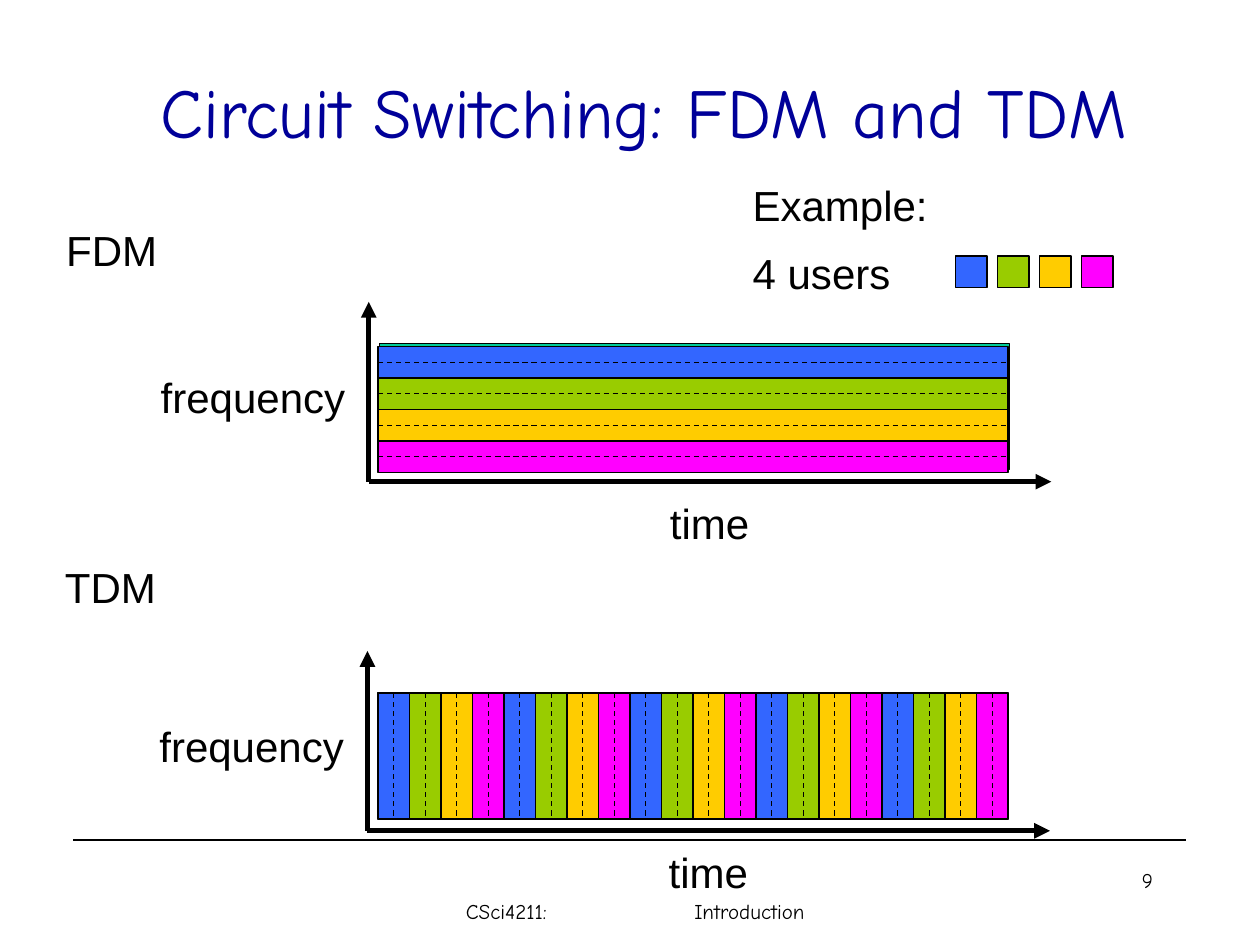
import pptx
import pptx.util
import pptx.dml.color
import pptx.enum.dml
import pptx.enum.shapes
import pptx.enum.text
import pptx.oxml
import pptx.oxml.ns

# Content: boxes are (left, top, width, height) in px, 96 px to the inch
TITLE = ("Circuit Switching: FDM and TDM", (46, 24, 889, 120))
LABELS = [
    ("Example:", (564, 132, 153, 48)),
    ("4 users", (564, 184, 125, 48)),
    ("FDM", (41, 166, 90, 48)),
    ("TDM", (40, 423, 90, 48)),
]
CHARTS = [
    {"origin": (281, 367), "grid": (288, 264), "backing": (289, 262),
     "slots": 4, "across": False},
    {"origin": (280, 633), "grid": (288, 528), "backing": (288, 528),
     "slots": 20, "across": True},
]
AXIS_LABELS = [("frequency", (-168, -89, 160, 48)), ("time", (220, 7, 80, 48))]
AXIS_ENDS = [(0, -137), (520, 0)]
GRID_SIZE = (480, 96)
SLOT = 24
LEGEND = {"left": 728, "top": 195, "step": 32}
RULE = (56, 640, 904, 640)
FOOTER = ("CSci4211:\tIntroduction", (328, 680, 312, 48))
FOOTER_INDENT, FOOTER_TAB = 27, 174
PAGE_NUMBER = ("9", (688, 656, 200, 48))

THEME = {
    "users": ["3366FF", "99CC00", "FFCC00", "FF00FF"],
    "backing": "00CC99",
    "ink": "000000",
    "title": {"name": "Comic Neue", "size": 40, "color": "000099"},
    "label": {"name": "Arial", "size": 24, "color": "000000"},
    "small": {"name": "Comic Neue", "size": 12, "color": "000000"},
    "thin": 0.75,
    "thick": 3,
}
ALIGN = pptx.enum.text.PP_ALIGN
RECTANGLE = pptx.enum.shapes.MSO_SHAPE.RECTANGLE
STRAIGHT = pptx.enum.shapes.MSO_CONNECTOR.STRAIGHT
XML_NAMES = pptx.oxml.ns.nsdecls("a")


def px(length):
    return pptx.util.Emu(length * 9525)


def rgb(value):
    return pptx.dml.color.RGBColor.from_string(value)


def set_all(target, values):
    for name, value in values.items():
        setattr(target, name, value)


def write(frame, text, style, align=ALIGN.LEFT):
    para = frame.paragraphs[0]
    para.alignment = align
    span = para.add_run()
    span.text = text
    set_all(span.font, {"name": style["name"], "bold": False,
                        "size": pptx.util.Pt(style["size"])})
    span.font.color.rgb = rgb(style["color"])


def add_text(page, text, area, style, align=ALIGN.LEFT, wrap=False):
    box = page.shapes.add_textbox(*map(px, area))
    sizes = pptx.enum.text.MSO_AUTO_SIZE
    set_all(box.text_frame, {
        "word_wrap": wrap,
        "auto_size": sizes.NONE if wrap else sizes.SHAPE_TO_FIT_TEXT,
    })
    write(box.text_frame, text, style, align)
    return box


def add_box(page, area, color):
    box = page.shapes.add_shape(RECTANGLE, *map(px, area))
    box.shadow.inherit = False
    box.fill.solid()
    box.fill.fore_color.rgb = rgb(color)
    box.line.color.rgb = rgb(THEME["ink"])
    box.line.width = pptx.util.Pt(THEME["thin"])
    return box


def add_line(page, ends, width=THEME["thin"], dashed=False, arrow=False):
    line = page.shapes.add_connector(STRAIGHT, *map(px, ends))
    line.line.color.rgb = rgb(THEME["ink"])
    line.line.width = pptx.util.Pt(width)
    if dashed:
        line.line.dash_style = pptx.enum.dml.MSO_LINE.DASH
    outline = line._element.spPr.find(pptx.oxml.ns.qn("a:ln"))
    if arrow:
        outline.append(pptx.oxml.parse_xml(
            f"<a:tailEnd {XML_NAMES} type='triangle'/>"))
    outline.addnext(pptx.oxml.parse_xml(f"<a:effectLst {XML_NAMES}/>"))
    return line


def add_chart(page, origin, grid, backing, slots, across):
    # Axes and their names
    x, y = origin
    for dx, dy in AXIS_ENDS:
        add_line(page, (x, y, x + dx, y + dy), THEME["thick"], arrow=True)
    for text, (dx, dy, width, height) in AXIS_LABELS:
        add_text(page, text, (x + dx, y + dy, width, height), THEME["label"])

    # Slots, one user after another
    add_box(page, (*backing, *GRID_SIZE), THEME["backing"])
    left, top = grid
    width, height = GRID_SIZE
    areas = [
        (left + i * SLOT, top, SLOT, height) if across
        else (left, top + i * SLOT, width, SLOT)
        for i in range(slots)
    ]
    users = THEME["users"]
    boxes = [add_box(page, area, users[i % len(users)])
             for i, area in enumerate(areas)]

    # Solid lines between slots, dashed lines through their middles
    for slot_left, slot_top, _, _ in areas[1:]:
        end = (slot_left, top + height) if across else (left + width, slot_top)
        add_line(page, (slot_left, slot_top, *end))
    first_side, last_side = (0, 2) if across else (1, 3)
    for box in boxes:
        line = add_line(page, (left, top, left, top), dashed=True)
        line.begin_connect(box, first_side)
        line.end_connect(box, last_side)


def main():
    deck = pptx.Presentation()
    set_all(deck, {"slide_width": px(960), "slide_height": px(720)})
    page = deck.slides.add_slide(deck.slide_layouts[5])

    # Title and footer rule
    text, area = TITLE
    title = page.shapes.title
    set_all(title, dict(zip(("left", "top", "width", "height"), map(px, area))))
    set_all(title.text_frame, {
        "word_wrap": True,
        "auto_size": pptx.enum.text.MSO_AUTO_SIZE.NONE,
        "vertical_anchor": pptx.enum.text.MSO_ANCHOR.MIDDLE,
    })
    write(title.text_frame, text, THEME["title"], ALIGN.CENTER)
    add_line(page, RULE)

    # Labels, charts and legend
    for text, area in LABELS:
        add_text(page, text, area, THEME["label"])
    for chart in CHARTS:
        add_chart(page, **chart)
    for i, color in enumerate(THEME["users"]):
        left = LEGEND["left"] + i * LEGEND["step"]
        add_box(page, (left, LEGEND["top"], SLOT, SLOT), color)

    # Footer with a tab stop, and the page number
    footer = add_text(page, *FOOTER, THEME["small"], wrap=True)
    footer.text_frame.margin_left = px(FOOTER_INDENT)
    footer.text_frame.paragraphs[0]._p.get_or_add_pPr().append(
        pptx.oxml.parse_xml(f"<a:tabLst {XML_NAMES}>"
                            f"<a:tab pos='{px(FOOTER_TAB)}' algn='l'/></a:tabLst>"))
    add_text(page, *PAGE_NUMBER, THEME["small"], ALIGN.RIGHT, wrap=True)

    deck.save("out.pptx")


if __name__ == "__main__":
    main()
